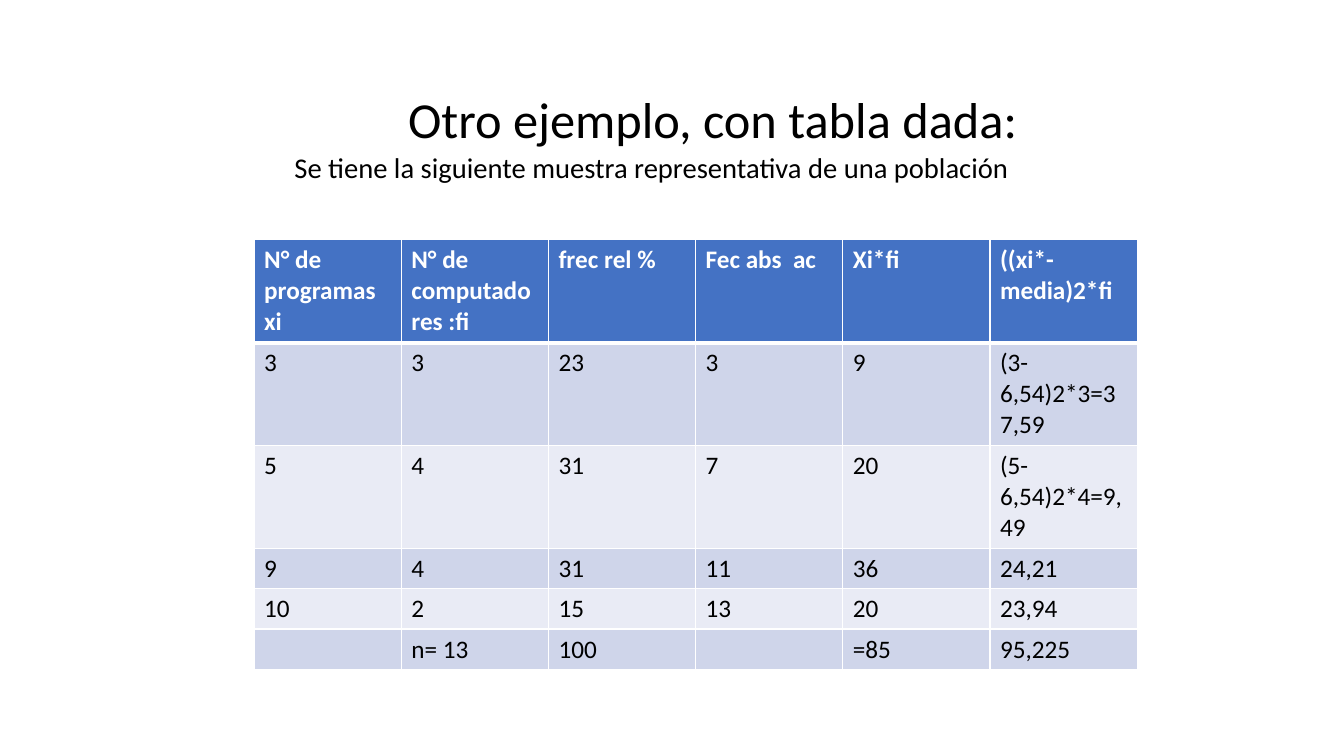
"""Build a slide with a title, a subtitle and a frequency table."""
from lxml.etree import SubElement as Sub
from pptx import Presentation
from pptx.dml.color import RGBColor
from pptx.enum.text import MSO_ANCHOR as Anchor, PP_ALIGN as Align
from pptx.oxml.ns import qn
from pptx.util import Inches, Pt

TITLE = "Otro ejemplo, con tabla dada:"
LEAD = "Se tiene la siguiente muestra representativa de una población"
ROWS = [
    ("N° de  programas \nxi", "N° de computadores :fi", "frec rel %",
     "Fec abs  ac", "Xi*fi", "((xi*- media)2*fi"),
    ("3", "3", "23", "3", "9", "(3-6,54)2*3=37,59"),
    ("5", "4", "31", "7", "20", "(5-6,54)2*4=9,49"),
    ("9", "4", "31", "11", "36", "24,21"),
    ("10", "2", "15", "13", "20", "23,94"),
    ("", "n= 13", "100", "", "=85", "95,225"),
]
HEAD, BANDS = "4472C4", ("E9EBF5", "CFD5EA")
BLACK, WHITE = "000000", "FFFFFF"
LEFT, TOP, COL, TALL, LOW = 2.52, 2.38, 1.46, 1.02, 0.4


def color(code):
    return RGBColor.from_string(code)


def style(frame, size, code, bold=False):
    for para in frame.paragraphs:
        for item in (para, *para.runs):
            font = item.font
            font.name, font.size, font.bold = "Calibri", Pt(size), bold
            font.color.rgb = color(code)


def label(text, box, size, line, anchor, before=0):
    frame = slide.shapes.add_textbox(*map(Inches, box)).text_frame
    frame.word_wrap = True
    frame.vertical_anchor = anchor
    frame.text = text
    style(frame, size, BLACK)
    para = frame.paragraphs[0]
    para.alignment = Align.CENTER
    para.line_spacing, para.space_before = line, Pt(before)


def border(cell, row):
    props = cell._tc.get_or_add_tcPr()
    wide = {"T": row == 1, "B": row == 0}
    for side in "LRTB":
        width = Pt(3 if wide.get(side) else 1)
        line = Sub(props, qn("a:ln" + side), w=str(width))
        Sub(Sub(line, qn("a:solidFill")), qn("a:srgbClr"), val=WHITE)


deck = Presentation()
deck.slide_width, deck.slide_height = Inches(13.33), Inches(7.5)
slide = deck.slides.add_slide(deck.slide_layouts[6])
label(TITLE, (2.26, 0.85, 9.62, 0.68), 36, 0.9, Anchor.BOTTOM)
label(LEAD, (1.46, 1.53, 10, 0.36), 20.4, 0.7, Anchor.TOP, 10)

highs = [TALL if r < 3 else LOW for r in range(len(ROWS))]
size = (COL * len(ROWS[0]), sum(highs))
table = slide.shapes.add_table(
    len(ROWS), len(ROWS[0]), *map(Inches, (LEFT, TOP, *size))).table
for col in table.columns:
    col.width = Inches(COL)
for r, (row, high) in enumerate(zip(ROWS, highs)):
    table.rows[r].height = Inches(high)
    for c, text in enumerate(row):
        cell = table.cell(r, c)
        cell.text_frame.text = text
        style(cell.text_frame, 18, BLACK if r else WHITE, r == 0)
        border(cell, r)
        cell.fill.solid()
        cell.fill.fore_color.rgb = color(BANDS[r % 2] if r else HEAD)

deck.save("out.pptx")
